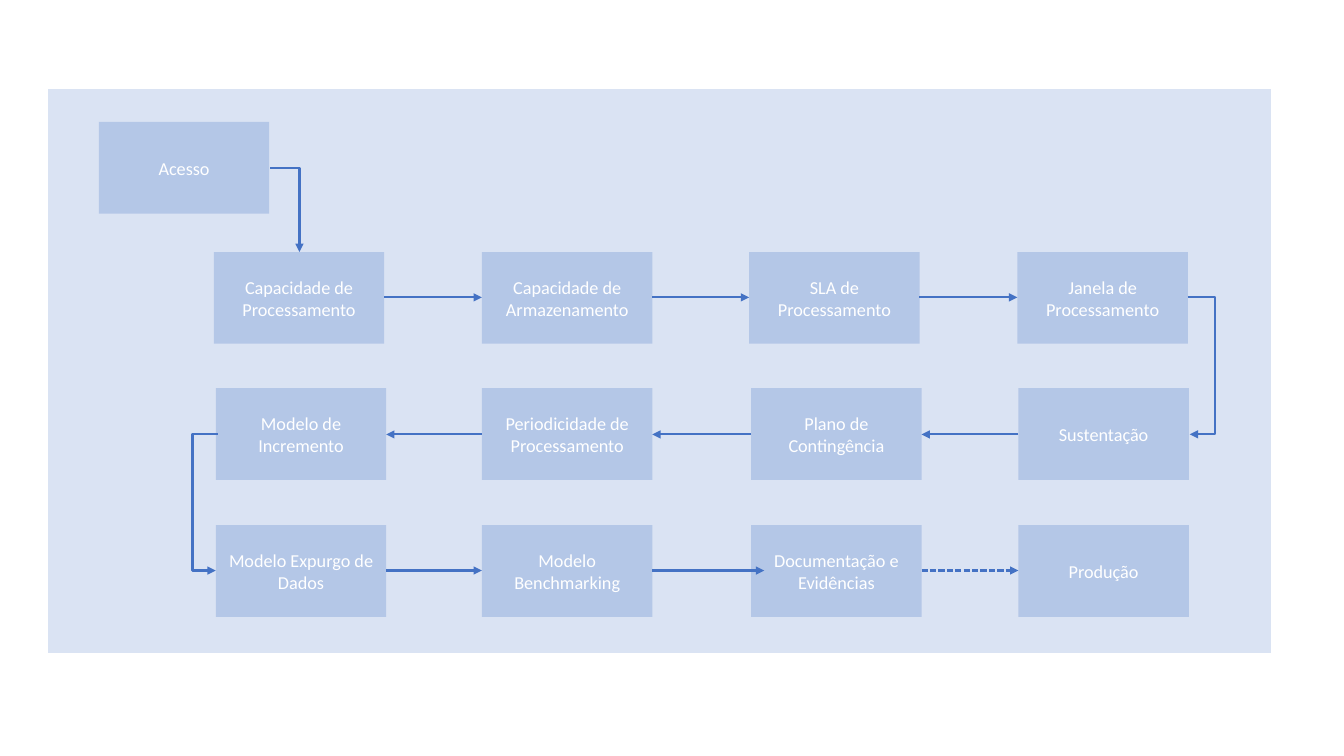
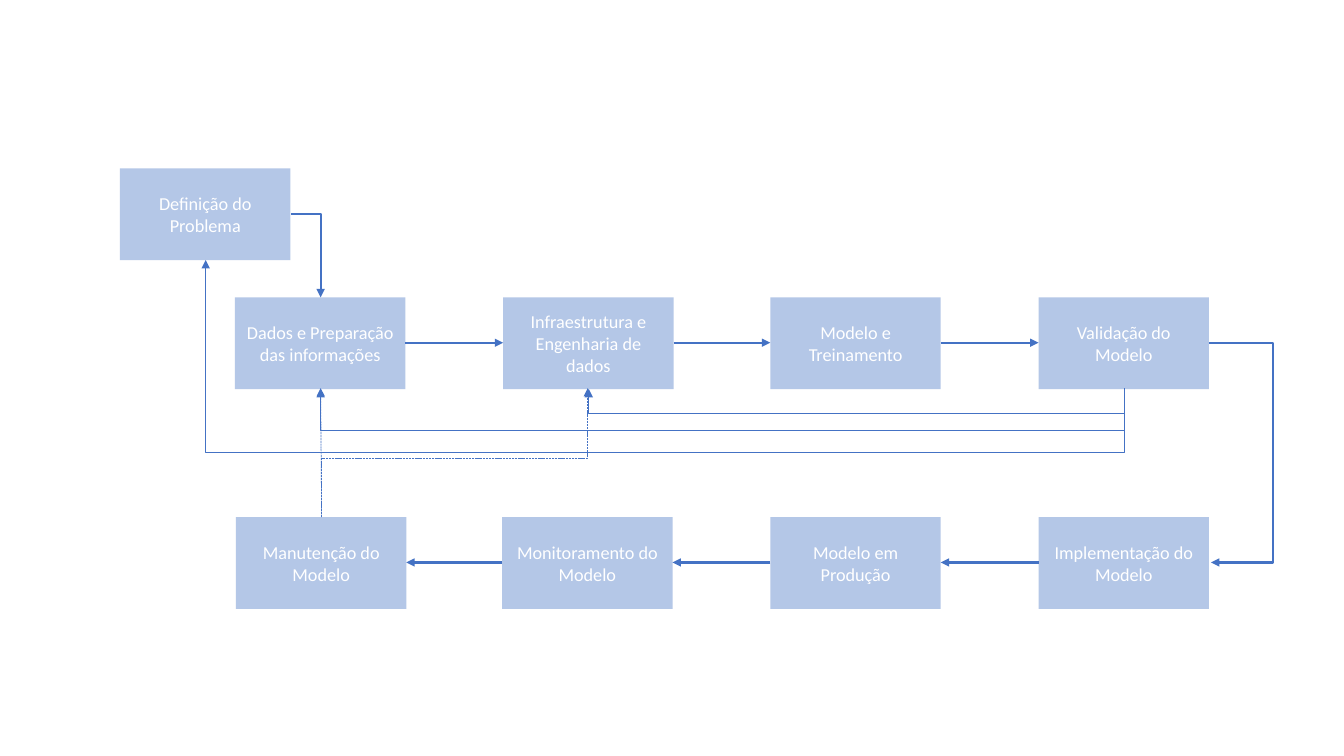
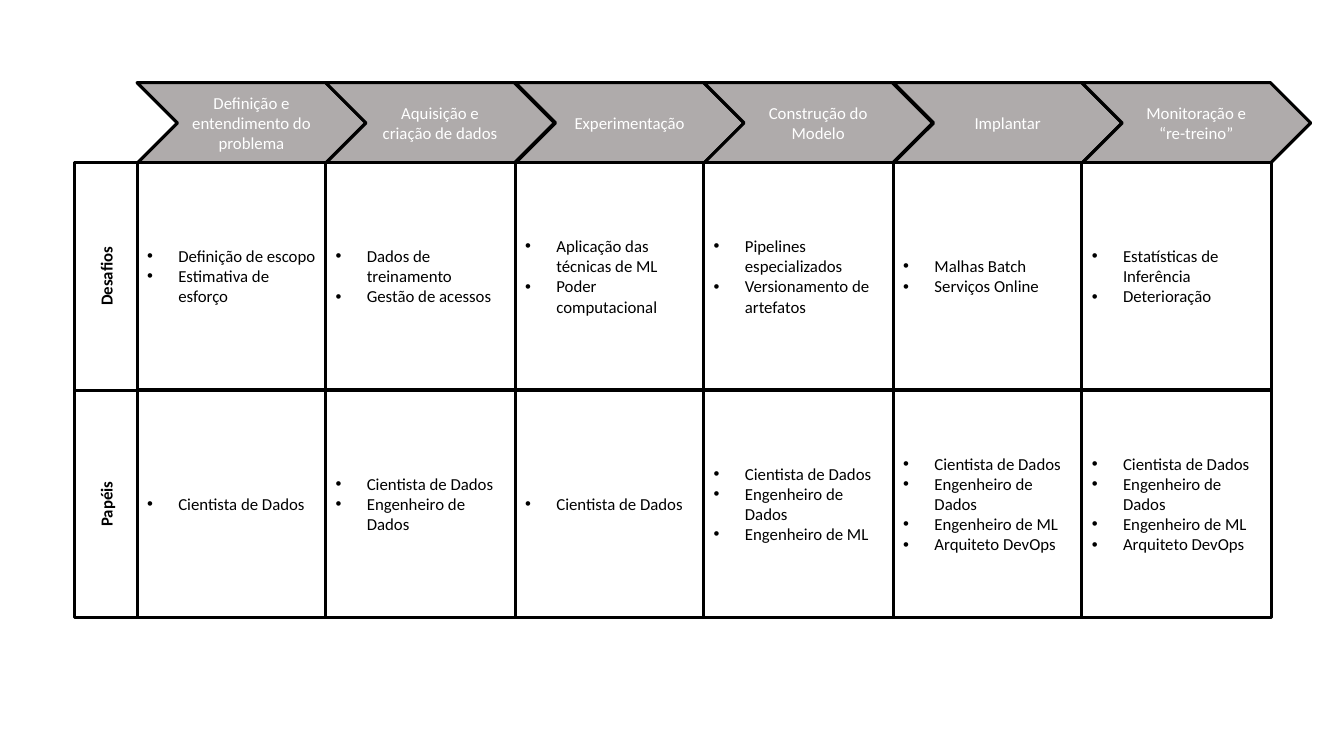
from lxml import etree
from pptx import Presentation
from pptx.dml.color import RGBColor
from pptx.enum.dml import MSO_LINE
from pptx.enum.shapes import MSO_CONNECTOR, MSO_SHAPE
from pptx.enum.text import MSO_ANCHOR, PP_ALIGN
from pptx.oxml.ns import qn
from pptx.util import Emu, Pt

CHEVRON, RECTANGLE = MSO_SHAPE.CHEVRON, MSO_SHAPE.RECTANGLE
PROCESS = MSO_SHAPE.FLOWCHART_PROCESS
STRAIGHT, ELBOW = MSO_CONNECTOR.STRAIGHT, MSO_CONNECTOR.ELBOW
DASH = MSO_LINE.SQUARE_DOT
CENTER, LEFT, MIDDLE = PP_ALIGN.CENTER, PP_ALIGN.LEFT, MSO_ANCHOR.MIDDLE

EMU_PER_PX = 9144  # 100 px to the inch
STEP_W, STEP_H = 169, 91


def px(length):
    return Emu(round(length * EMU_PER_PX))


def rgb(value):
    return RGBColor.from_string(value)


class Deck:
    FONT = "Calibri"
    WHITE, BLACK = "FFFFFF", "000000"
    PANEL, STEP, ARROW, PHASE = "DAE3F3", "B4C7E7", "4472C4", "AFABAB"

    def __init__(self):
        self.prs = Presentation()
        self.prs.slide_width, self.prs.slide_height = px(1333), px(750)
        self.slide = None

    def new_slide(self):
        self.slide = self.prs.slides.add_slide(self.prs.slide_layouts[6])

    # Shapes and text
    def shape(self, kind, left, top, width, height, fill, outlined=False):
        shape = self.slide.shapes.add_shape(
            kind, px(left), px(top), px(width), px(height))
        shape.shadow.inherit = False
        shape.fill.solid()
        shape.fill.fore_color.rgb = rgb(fill)
        if outlined:
            shape.line.color.rgb = rgb(self.BLACK)
            shape.line.width = Pt(2.25)
        else:
            shape.line.fill.background()
        return shape

    def text(self, shape, lines, size, color, bold=False, bullets=False):
        frame = shape.text_frame
        frame.word_wrap = True
        frame.vertical_anchor = MIDDLE
        for index, line in enumerate(lines):
            para = frame.add_paragraph() if index else frame.paragraphs[0]
            para.alignment = LEFT if bullets else CENTER
            if bullets:
                self.bullet(para)
            run = para.add_run()
            run.text = line
            run.font.name = self.FONT
            run.font.size = Pt(size)
            run.font.bold = bold
            run.font.color.rgb = rgb(color)

    def bullet(self, para):
        props = para._p.get_or_add_pPr()
        props.set("marL", str(px(31)))
        props.set("indent", str(px(-31)))
        etree.SubElement(props, qn("a:buFont")).set("typeface", "Arial")
        etree.SubElement(props, qn("a:buChar")).set("char", "•")

    def panel(self, left, top, width, height):
        self.shape(PROCESS, left, top, width, height, self.PANEL)

    def step(self, left, top, label):
        box = self.shape(CHEVRON, left, top, STEP_W, STEP_H, self.STEP)
        box.adjustments[0] = 0
        self.text(box, [label], 13, self.WHITE)

    def step_row(self, lefts, top, labels):
        for left, label in zip(lefts, labels):
            self.step(left, top, label)

    def phase(self, left, top, label):
        box = self.shape(CHEVRON, left, top, 227, 80, self.PHASE, True)
        self.text(box, [label], 12, self.WHITE)

    def cell(self, left, top, width, height, items):
        box = self.shape(RECTANGLE, left, top, width, height, self.WHITE, True)
        self.text(box, items, 12, self.BLACK, bullets=True)

    def side_label(self, left, top, width, height, label):
        # Laid out lying down, then turned about its centre
        shift = (height - width) / 2
        box = self.shape(RECTANGLE, left - shift, top + shift, height, width,
                         self.WHITE, True)
        box.rotation = 270
        self.text(box, [label], 12, self.BLACK, bold=True)

    # Arrows
    def connector(self, kind, start, end, weight, dashed):
        link = self.slide.shapes.add_connector(
            kind, *(px(value) for value in (*start, *end)))
        link.line.color.rgb = rgb(self.ARROW)
        link.line.width = Pt(weight)
        if dashed:
            link.line.dash_style = DASH
        props = link._element.spPr
        etree.SubElement(props.find(qn("a:ln")), qn("a:tailEnd")).set(
            "type", "triangle")
        etree.SubElement(props, qn("a:effectLst"))
        return props

    def arrow(self, start, end, weight=1.5, dashed=False):
        self.connector(STRAIGHT, start, end, weight, dashed)

    def corner(self, start, end):
        props = self.connector(ELBOW, start, end, 1.5, False)
        props.find(qn("a:prstGeom")).set("prst", "bentConnector2")

    def elbow(self, start, bend, end, vertical=False, weight=1.5,
              dashed=False):
        """Three legs; bend is the x (or y, if vertical) of the middle leg."""
        axis = 1 if vertical else 0
        ratio = (bend - start[axis]) / (end[axis] - start[axis])
        if vertical:
            # Frame of the same centre, to be turned by a quarter
            mid_x, mid_y = (start[0] + end[0]) / 2, (start[1] + end[1]) / 2
            half_x, half_y = (end[0] - start[0]) / 2, (end[1] - start[1]) / 2
            start = (mid_x - half_y, mid_y + half_x)
            end = (mid_x + half_y, mid_y - half_x)
        props = self.connector(ELBOW, start, end, weight, dashed)
        if vertical:
            props.find(qn("a:xfrm")).set("rot", "5400000")
        geometry = props.find(qn("a:prstGeom"))
        guides = geometry.find(qn("a:avLst"))
        if guides is None:
            guides = etree.SubElement(geometry, qn("a:avLst"))
        guide = etree.SubElement(guides, qn("a:gd"))
        guide.set("name", "adj1")
        guide.set("fmla", f"val {round(ratio * 100000)}")

    def link_row(self, lefts, y, backwards=False):
        for left, following in zip(lefts, lefts[1:]):
            ends = [(left + STEP_W, y), (following, y)]
            self.arrow(*(reversed(ends) if backwards else ends))


def delivery_flow(deck):
    deck.new_slide()
    deck.panel(48, 88, 1213, 560)
    upper, lower = [212, 478, 743, 1009], [214, 478, 745, 1010]
    deck.step(98, 121, "Acesso")
    deck.step_row(upper, 250, [
        "Capacidade de Processamento", "Capacidade de Armazenamento",
        "SLA de Processamento", "Janela de Processamento"])
    deck.step_row(lower, 385, [
        "Modelo de Incremento", "Periodicidade de Processamento",
        "Plano de Contingência", "Sustentação"])
    deck.step_row(lower, 521, [
        "Modelo Expurgo de Dados", "Modelo Benchmarking",
        "Documentação e Evidências", "Produção"])

    # Path through the rows
    deck.corner((268, 167), (297, 250))
    deck.link_row(upper, 295)
    deck.elbow((1178, 295), 1205, (1180, 431))
    deck.link_row(lower, 431, backwards=True)
    deck.elbow((216, 431), 191, (214, 566))
    deck.link_row(lower[:2], 566)
    deck.arrow((647, 566), (758, 566))
    deck.arrow((914, 566), (1010, 566), dashed=True)


def model_cycle(deck):
    deck.new_slide()
    upper, lower = [233, 499, 764, 1030], [234, 498, 764, 1030]
    deck.step(119, 167, "Definição do Problema")
    deck.step_row(upper, 295, [
        "Dados e Preparação das informações",
        "Infraestrutura e Engenharia de dados",
        "Modelo e Treinamento", "Validação do Modelo"])
    deck.step_row(lower, 513, [
        "Manutenção do Modelo", "Monitoramento do Modelo",
        "Modelo em Produção", "Implementação do Modelo"])

    # Main path
    deck.corner((289, 212), (318, 295))
    deck.link_row(upper, 340)
    deck.elbow((1199, 340), 1262, (1201, 558))
    deck.link_row(lower, 558, backwards=True)

    # Returns from maintenance and from validation
    deck.arrow((319, 513), (318, 385), 0.5, dashed=True)
    deck.elbow((319, 513), 455, (583, 385), True, 0.5, dashed=True)
    for start_y, bend, end in [(387, 449, (204, 258)),
                               (385, 428, (318, 386)),
                               (385, 410, (584, 386))]:
        deck.elbow((1115, start_y), bend, end, True, 0.5)


def phase_matrix(deck):
    deck.new_slide()
    scientist, engineer = "Cientista de Dados", "Engenheiro de Dados"
    ml_team = [scientist, engineer, "Engenheiro de ML"]
    full_team = ml_team + ["Arquiteto DevOps"]
    phases = [
        ("Definição e entendimento do problema",
         ["Definição de escopo", "Estimativa de esforço"], [scientist]),
        ("Aquisição e criação de dados",
         ["Dados de treinamento", "Gestão de acessos"],
         [scientist, engineer]),
        ("Experimentação",
         ["Aplicação das técnicas de ML", "Poder computacional"],
         [scientist]),
        ("Construção do Modelo",
         ["Pipelines especializados", "Versionamento de artefatos"], ml_team),
        ("Implantar", ["Malhas Batch", "Serviços Online"], full_team),
        ("Monitoração e “re-treino”",
         ["Estatísticas de Inferência", "Deterioração"], full_team),
    ]
    row_tops, row_height = (161, 387), 226
    lefts = [round(136 + 187.4 * index) for index in range(len(phases))]

    # Phase header, then the two rows
    for left, (label, _, _) in zip(lefts, phases):
        deck.phase(left, 82, label)
    for row, (top, title) in enumerate(zip(row_tops, ("Desafios", "Papéis"))):
        for left, phase in zip(lefts, phases):
            deck.cell(left, top, 188, row_height, phase[row + 1])
        deck.side_label(74, top, 62, row_height, title)


def main():
    deck = Deck()
    delivery_flow(deck)
    model_cycle(deck)
    phase_matrix(deck)
    deck.prs.save("out.pptx")


if __name__ == "__main__":
    main()
